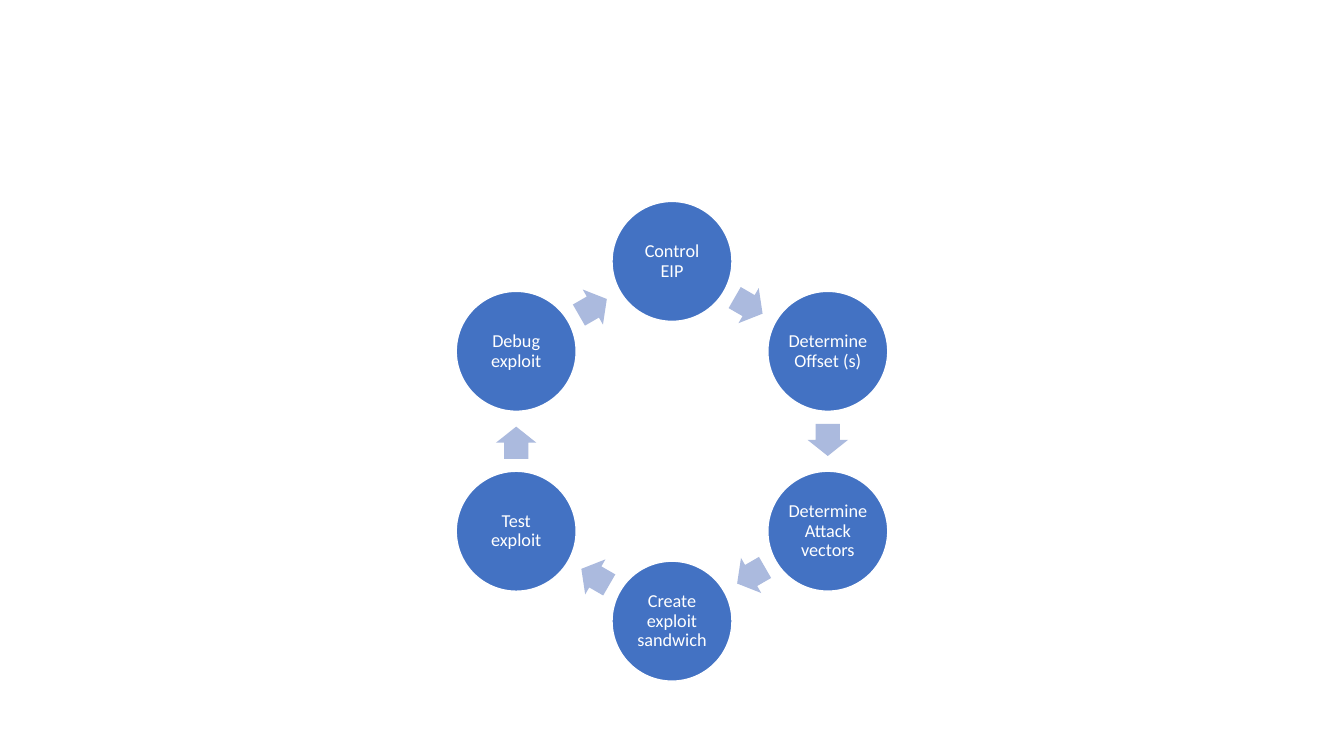
from dataclasses import dataclass
from math import cos, pi, radians, sin

from pptx import Presentation
from pptx.dml.color import RGBColor
from pptx.enum.shapes import MSO_SHAPE
from pptx.enum.text import MSO_ANCHOR, PP_ALIGN
from pptx.util import Pt


@dataclass(frozen=True)
class Theme:
    step_fill: RGBColor = RGBColor(0x43, 0x72, 0xC3)
    arrow_fill: RGBColor = RGBColor(0xAB, 0xBA, 0xDE)
    white: RGBColor = RGBColor(0xFF, 0xFF, 0xFF)
    font: str = "Calibri"
    step_size: float = 13
    outline: float = 1


class CycleSlide:
    """Draw the elements of a cycle on one slide in a given theme."""

    def __init__(self, page, theme):
        self.page = page
        self.theme = theme

    def shape(self, kind, center, width, height, fill):
        x, y = center
        shape = self.page.shapes.add_shape(
            kind, Pt(x - width / 2), Pt(y - height / 2), Pt(width), Pt(height)
        )
        shape.shadow.inherit = False
        shape.fill.solid()
        shape.fill.fore_color.rgb = fill
        return shape

    def step(self, label, center, diameter):
        theme = self.theme
        circle = self.shape(MSO_SHAPE.OVAL, center, diameter, diameter, theme.step_fill)
        circle.line.color.rgb = theme.white
        circle.line.width = Pt(theme.outline)
        frame = circle.text_frame
        frame.text = label
        frame.word_wrap = True
        frame.vertical_anchor = MSO_ANCHOR.MIDDLE
        frame.margin_left = frame.margin_right = Pt(1.3)
        frame.margin_top = frame.margin_bottom = Pt(1.3)
        para = frame.paragraphs[0]
        para.alignment = PP_ALIGN.CENTER
        para.line_spacing = 0.9
        span = para.runs[0]
        span.font.name = theme.font
        span.font.size = Pt(theme.step_size)
        span.font.color.rgb = theme.white

    def arrow(self, center, rotation):
        arrow = self.shape(MSO_SHAPE.RIGHT_ARROW, center, 23, 28.9, self.theme.arrow_fill)
        arrow.line.fill.background()
        arrow.adjustments[0] = 0.6
        arrow.adjustments[1] = 0.5
        arrow.rotation = rotation


STEPS = [
    "Control EIP",
    "Determine Offset (s)",
    "Determine Attack vectors",
    "Create exploit sandwich",
    "Test exploit",
    "Debug exploit",
]
CENTER_X, CENTER_Y = 480, 315.2
RADIUS = 128.5
DIAMETER = 85.7
ARROW_LAG = 1


def around(angle, radius, advance=0):
    """Return the point at a clockwise angle from the top, moved along the tangent."""
    turn = radians(angle)
    return (
        CENTER_X + radius * sin(turn) + advance * cos(turn),
        CENTER_Y - radius * cos(turn) + advance * sin(turn),
    )


def main():
    deck = Presentation()
    deck.slide_width, deck.slide_height = Pt(960), Pt(540)
    cycle = CycleSlide(deck.slides.add_slide(deck.slide_layouts[6]), Theme())
    sector = 360 / len(STEPS)
    arrow_radius = RADIUS * cos(pi / len(STEPS))
    for index, label in enumerate(STEPS):
        angle = index * sector
        halfway = angle + sector / 2
        cycle.step(label, around(angle, RADIUS), DIAMETER)
        cycle.arrow(around(halfway, arrow_radius, -ARROW_LAG), halfway)
    deck.save("out.pptx")


if __name__ == "__main__":
    main()
